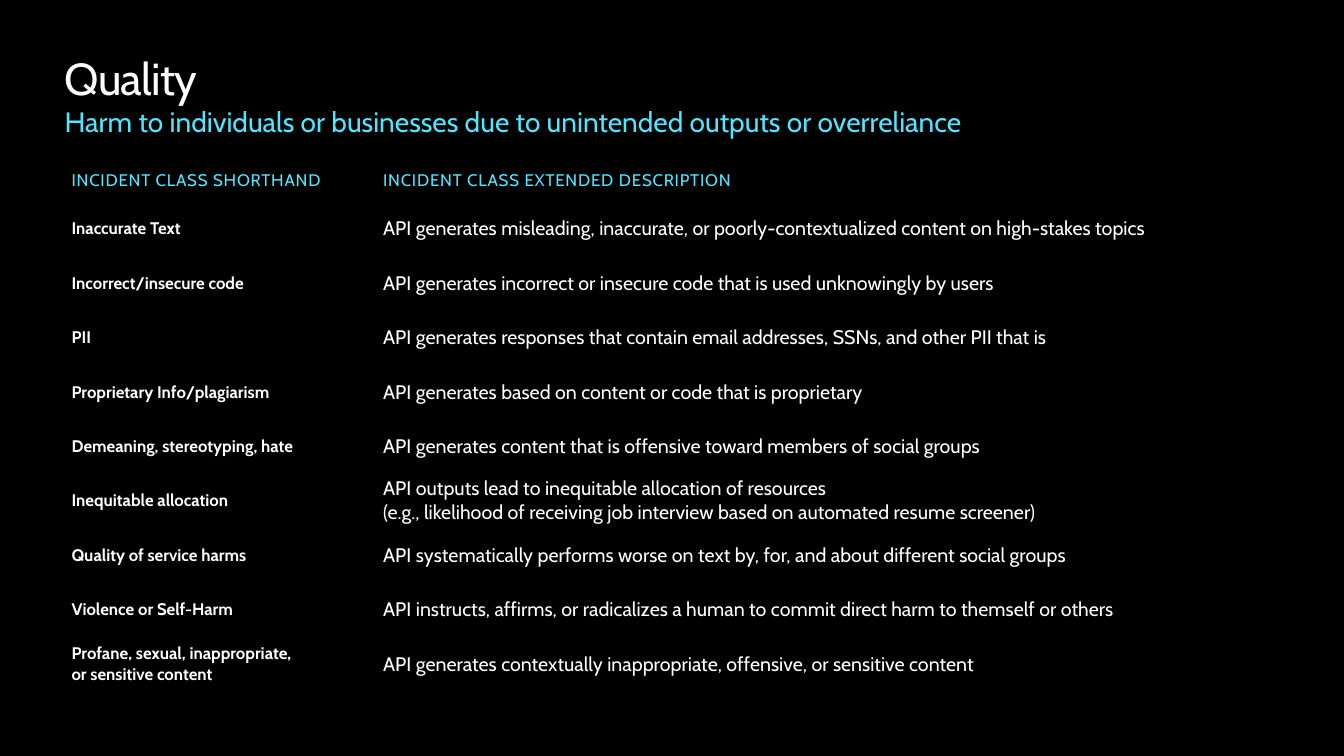
from pptx import Presentation
from pptx.dml.color import RGBColor
from pptx.enum.text import MSO_ANCHOR, MSO_AUTO_SIZE, PP_ALIGN
from pptx.oxml.ns import qn
from pptx.util import Inches, Pt

# Content
TITLE = "Quality"
SUBTITLE = "Harm to individuals or businesses due to unintended outputs or overreliance"
HEADINGS = ("INCIDENT CLASS SHORTHAND", "INCIDENT CLASS EXTENDED DESCRIPTION")
INCIDENTS = [
    ("Inaccurate Text",
     "API generates misleading, inaccurate, or poorly-contextualized content on high-stakes topics"),
    ("Incorrect/insecure code",
     "API generates incorrect or insecure code that is used unknowingly by users"),
    ("PII",
     "API generates responses that contain email addresses, SSNs, and other PII that is"),
    ("Proprietary Info/plagiarism",
     "API generates based on content or code that is proprietary"),
    ("Demeaning, stereotyping, hate",
     "API generates content that is offensive toward members of social groups"),
    ("Inequitable allocation",
     "API outputs lead to inequitable allocation of resources\n"
     "(e.g., likelihood of receiving job interview based on automated resume screener)"),
    ("Quality of service harms",
     "API systematically performs worse on text by, for, and about different social groups"),
    ("Violence or Self-Harm",
     "API instructs, affirms, or radicalizes a human to commit direct harm to themself or others"),
    ("Profane, sexual, inappropriate,\nor sensitive content",
     "API generates contextually inappropriate, offensive, or sensitive content"),
]

# Theme: colours, and type styles as (size, colour, bold, letter spacing in points)
BLACK, WHITE, CYAN = (RGBColor.from_string(code) for code in ("000000", "FFFFFF", "50E6FF"))
THEME = {
    "font": "Cabin",
    "background": BLACK,
    "title": (32, WHITE, False, -0.5),
    "subtitle": (20, CYAN, False, 0),
    "heading": (12, CYAN, False, 0.6),
    "shorthand": (12, WHITE, True, 0),
    "description": (14, WHITE, False, 0),
}

# Layout in inches
LEFT, WIDTH = 0.64, 12.05
TITLE_TOP, TITLE_HEIGHT = 0.5, 0.88
TABLE_TOP, HEADING_HEIGHT, ROW_HEIGHT = 1.58, 0.42, 0.54
SHORTHAND_WIDTH = 3.09
CELL_INSET = 0.07
PLAIN_TABLE_STYLE = "{2D5ABB26-0587-4C30-8999-92F81FD0307C}"


def apply(target, values):
    for name, value in values.items():
        setattr(target, name, value)


def write(para, text, style):
    size, colour, bold, spacing = THEME[style]
    for index, line in enumerate(text.split("\n")):
        if index:
            para.add_line_break()
        span = para.add_run()
        span.text = line
        apply(span.font, {"name": THEME["font"], "size": Pt(size), "bold": bold})
        span.font.color.rgb = colour
        span.font._element.set("spc", str(round(spacing * 100)))


def add_title(page):
    box = page.shapes.title
    apply(box, {"left": Inches(LEFT), "top": Inches(TITLE_TOP),
                "width": Inches(WIDTH), "height": Inches(TITLE_HEIGHT)})
    frame = box.text_frame
    apply(frame, {"margin_left": 0, "margin_right": 0, "margin_top": 0, "margin_bottom": 0,
                  "word_wrap": True, "vertical_anchor": MSO_ANCHOR.TOP,
                  "auto_size": MSO_AUTO_SIZE.SHAPE_TO_FIT_TEXT})
    para = frame.paragraphs[0]
    apply(para, {"alignment": PP_ALIGN.LEFT, "line_spacing": 1.0})
    write(para, TITLE, "title")
    para.add_line_break()
    write(para, SUBTITLE, "subtitle")


def add_incident_table(page):
    rows = [HEADINGS, *INCIDENTS]
    height = HEADING_HEIGHT + ROW_HEIGHT * len(INCIDENTS)
    graphic = page.shapes.add_table(len(rows), len(HEADINGS), Inches(LEFT), Inches(TABLE_TOP),
                                    Inches(WIDTH), Inches(height))
    table = graphic.table
    apply(table, {"first_row": True, "horz_banding": False})
    graphic._element.find(".//" + qn("a:tableStyleId")).text = PLAIN_TABLE_STYLE
    for column, width in zip(table.columns, (SHORTHAND_WIDTH, WIDTH - SHORTHAND_WIDTH)):
        column.width = Inches(width)

    for row_index, texts in enumerate(rows):
        table.rows[row_index].height = Inches(ROW_HEIGHT if row_index else HEADING_HEIGHT)
        styles = ("shorthand", "description") if row_index else ("heading", "heading")
        for column_index, (text, style) in enumerate(zip(texts, styles)):
            cell = table.cell(row_index, column_index)
            apply(cell, {"margin_left": Inches(CELL_INSET), "margin_right": Inches(CELL_INSET),
                         "margin_top": 0, "margin_bottom": 0,
                         "vertical_anchor": MSO_ANCHOR.MIDDLE})
            cell.fill.solid()
            cell.fill.fore_color.rgb = THEME["background"]
            write(cell.text_frame.paragraphs[0], text, style)


def main():
    deck = Presentation()
    apply(deck, {"slide_width": Inches(13.33), "slide_height": Inches(7.5)})
    page = deck.slides.add_slide(deck.slide_layouts.get_by_name("Title Only"))
    page.background.fill.solid()
    page.background.fill.fore_color.rgb = THEME["background"]
    add_title(page)
    add_incident_table(page)
    deck.save("out.pptx")


if __name__ == "__main__":
    main()
